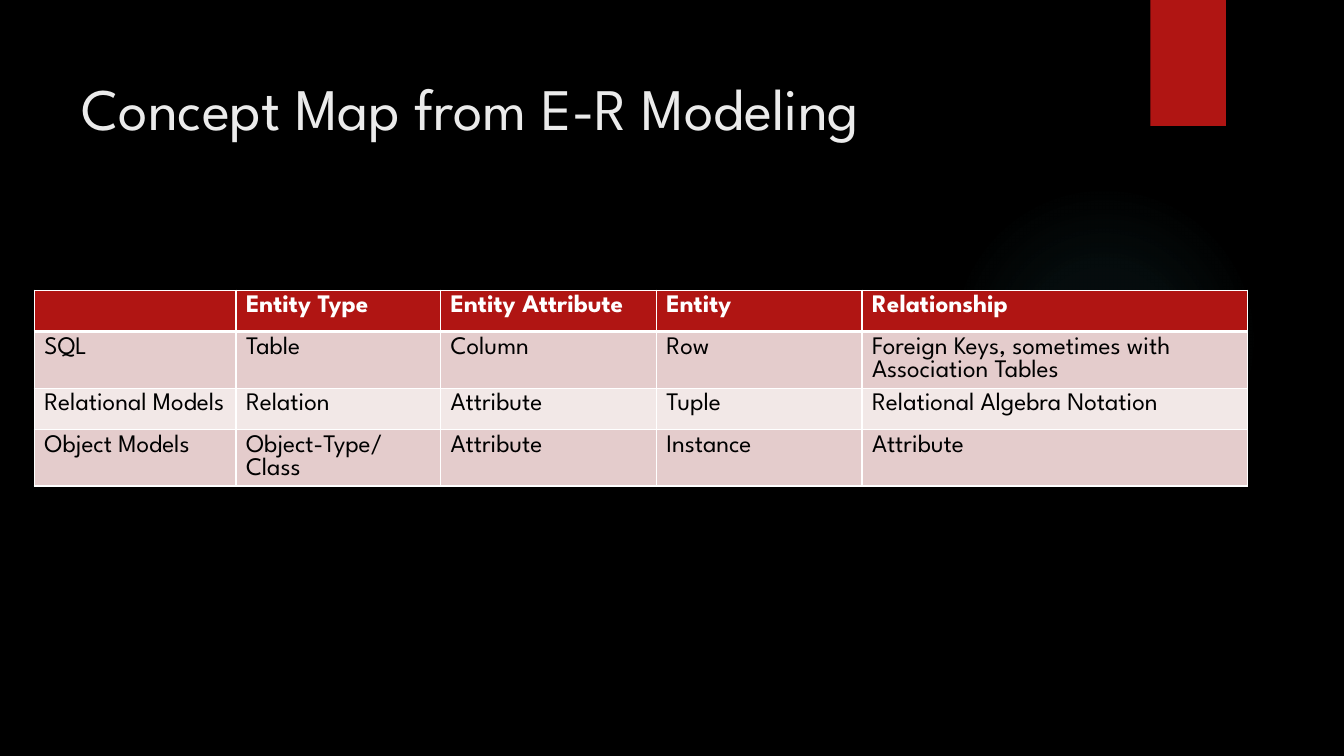
from dataclasses import dataclass

from lxml.etree import SubElement
from pptx import Presentation
from pptx.dml.color import RGBColor
from pptx.enum.shapes import MSO_SHAPE
from pptx.enum.text import MSO_ANCHOR, MSO_AUTO_SIZE, PP_ALIGN
from pptx.oxml import parse_xml
from pptx.oxml.ns import nsdecls, qn
from pptx.util import Inches, Pt

FONT = "League Spartan"
COLORS = {
    "background": "000000",
    "glow": "50B9C1",
    "accent": "B01513",
    "title": "EBEBEB",
    "white": "FFFFFF",
    "text": "000000",
    "odd": "E4CCCC",
    "even": "F2E8E7",
}
GLOW_STOPS = [(0, 7), (36, 6), (69, 0)]  # position and opacity in percent
COLUMN_WIDTHS = [2, 2.03, 2.14, 2.04, 3.82]
ROW_HEIGHT = 0.41


@dataclass
class ConceptRow:
    texts: list[str]
    fill: str
    color: str = "text"
    bold: bool = False
    top_line: float = 1
    bottom_line: float = 1


CONCEPT_ROWS = [
    ConceptRow(["", "Entity Type", "Entity Attribute", "Entity", "Relationship"],
               "accent", "white", bold=True, bottom_line=3),
    ConceptRow(["SQL", "Table", "Column", "Row",
                "Foreign Keys, sometimes with Association Tables"],
               "odd", top_line=3),
    ConceptRow(["Relational Models", "Relation", "Attribute", "Tuple",
                "Relational Algebra Notation"], "even"),
    ConceptRow(["Object Models", "Object-Type/Class", "Attribute", "Instance",
                "Attribute"], "odd"),
]


def rgb(name: str) -> RGBColor:
    return RGBColor.from_string(COLORS[name])


def add_span(para, text: str, size: float, color: str, bold: bool = False) -> None:
    span = para.add_run()
    span.text = text
    span.font.name = FONT
    span.font.size = Pt(size)
    span.font.bold = bold
    span.font.color.rgb = rgb(color)


def add_plain_shape(page, kind, left: float, top: float, width: float, height: float):
    shape = page.shapes.add_shape(
        kind, Inches(left), Inches(top), Inches(width), Inches(height))
    shape.shadow.inherit = False
    shape.line.fill.background()
    return shape


def add_glow(page) -> None:
    glow = add_plain_shape(page, MSO_SHAPE.OVAL, 9.41, 1.83, 3.08, 3.08)
    stops = "".join(
        f'<a:gs pos="{position * 1000}"><a:srgbClr val="{COLORS["glow"]}">'
        f'<a:alpha val="{opacity * 1000}"/></a:srgbClr></a:gs>'
        for position, opacity in GLOW_STOPS)
    gradient = parse_xml(
        f'<a:gradFill {nsdecls("a")}><a:gsLst>{stops}</a:gsLst><a:path path="circle">'
        '<a:fillToRect l="50000" t="50000" r="50000" b="50000"/></a:path></a:gradFill>')
    glow.element.spPr.find(qn("a:prstGeom")).addnext(gradient)


def add_title(page, text: str) -> None:
    title = page.shapes.title
    title.left, title.top = Inches(0.71), Inches(0.5)
    title.width, title.height = Inches(10.29), Inches(1.53)
    frame = title.text_frame
    frame.word_wrap = True
    frame.auto_size = MSO_AUTO_SIZE.NONE
    frame.vertical_anchor = MSO_ANCHOR.TOP
    frame.margin_top = Inches(0.21)
    para = frame.paragraphs[0]
    para.alignment = PP_ALIGN.LEFT
    add_span(para, text, 42, "title")


def set_borders(cell, top: float, bottom: float) -> None:
    properties = cell._tc.get_or_add_tcPr()
    widths = {"lnL": 1, "lnR": 1, "lnT": top, "lnB": bottom}
    for index, (side, width) in enumerate(widths.items()):
        line = SubElement(properties, qn(f"a:{side}"), w=str(Pt(width)))
        fill = SubElement(line, qn("a:solidFill"))
        SubElement(fill, qn("a:srgbClr"), val=COLORS["white"])
        properties.insert(index, line)


def add_concept_table(page, rows: list[ConceptRow]) -> None:
    table = page.shapes.add_table(
        len(rows), len(COLUMN_WIDTHS), Inches(0.34), Inches(2.88),
        Inches(sum(COLUMN_WIDTHS)), Inches(ROW_HEIGHT * len(rows))).table
    for column, width in zip(table.columns, COLUMN_WIDTHS):
        column.width = Inches(width)
    for table_row, row in zip(table.rows, rows):
        table_row.height = Inches(ROW_HEIGHT)
        for cell, text in zip(table_row.cells, row.texts):
            cell.fill.solid()
            cell.fill.fore_color.rgb = rgb(row.fill)
            set_borders(cell, row.top_line, row.bottom_line)
            para = cell.text_frame.paragraphs[0]
            if text:
                add_span(para, text, 18, row.color, row.bold)
            else:
                para.font.size = Pt(18)


def main() -> None:
    deck = Presentation()
    deck.slide_width, deck.slide_height = Inches(13.33), Inches(7.5)
    page = deck.slides.add_slide(deck.slide_layouts[5])

    # Backdrop
    page.background.fill.solid()
    page.background.fill.fore_color.rgb = rgb("background")
    add_glow(page)
    ribbon = add_plain_shape(page, MSO_SHAPE.RECTANGLE, 11.41, 0, 0.75, 1.25)
    ribbon.fill.solid()
    ribbon.fill.fore_color.rgb = rgb("accent")

    # Content
    add_title(page, "Concept Map from E-R Modeling")
    add_concept_table(page, CONCEPT_ROWS)

    deck.save("out.pptx")


if __name__ == "__main__":
    main()
